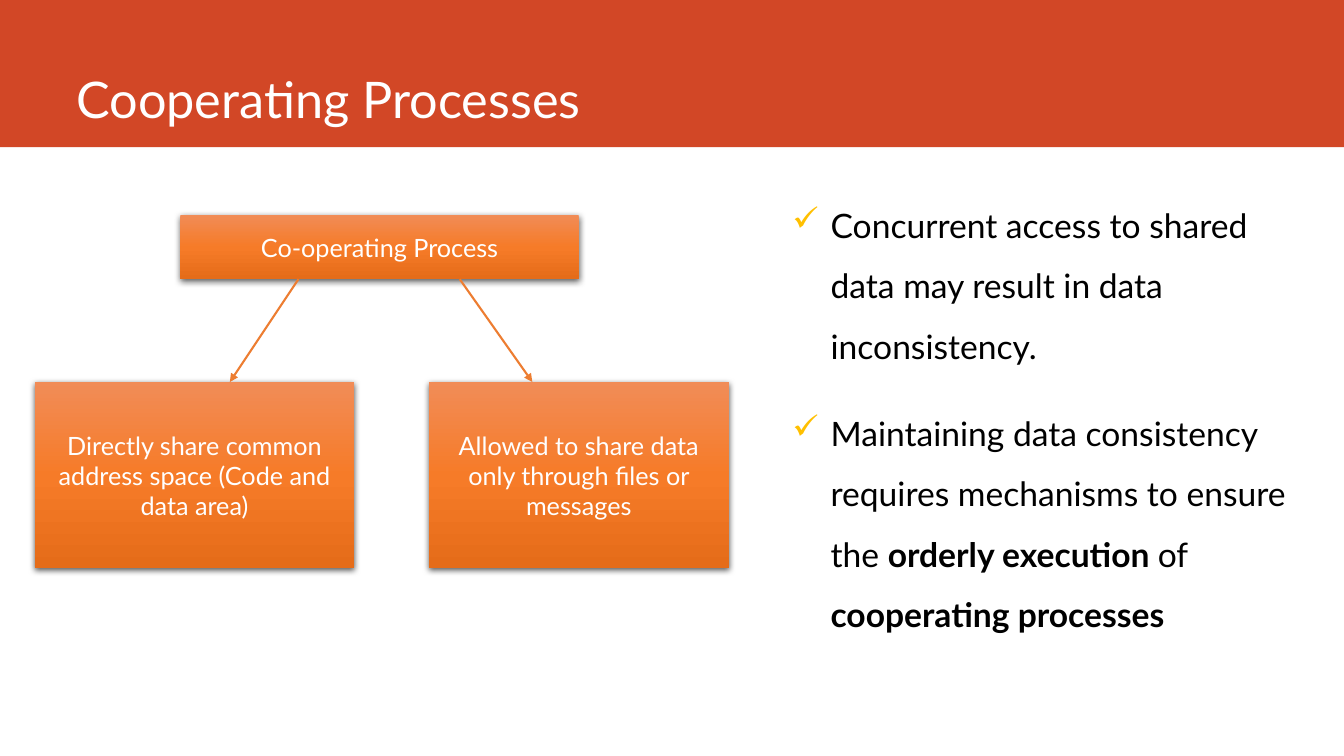
from copy import deepcopy
from dataclasses import dataclass

from lxml.etree import SubElement
from pptx import Presentation
from pptx.dml.color import RGBColor
from pptx.enum.shapes import MSO_CONNECTOR, MSO_SHAPE
from pptx.enum.text import MSO_ANCHOR, PP_ALIGN
from pptx.oxml.ns import qn
from pptx.shapes.autoshape import Shape
from pptx.slide import Slide
from pptx.text.text import Font
from pptx.util import Inches, Pt


@dataclass(frozen=True)
class Theme:
    font: str = "Lato"
    title_size: int = 36
    body_size: int = 24
    box_size: int = 18
    banner: str = "D24726"
    light: str = "FFFFFF"
    dark: str = "000000"
    check: str = "FFC000"
    arrow: str = "ED7D31"
    gradient: tuple[str, ...] = ("F18C57", "F67B28", "E56C19")


@dataclass(frozen=True)
class Area:
    left: float
    top: float
    width: float
    height: float

    def lengths(self) -> tuple[Inches, ...]:
        return tuple(map(Inches, (self.left, self.top, self.width, self.height)))


@dataclass(frozen=True)
class ProcessBox:
    area: Area
    text: str


@dataclass(frozen=True)
class Arrow:
    start_x: float
    end_x: float


@dataclass(frozen=True)
class Span:
    text: str
    bold: bool = False


THEME = Theme()
PARENT_TOP, PARENT_HEIGHT = 2.13, 0.64
CHILD_TOP, CHILD_HEIGHT = 3.79, 1.85
BOXES = (
    ProcessBox(Area(1.79, PARENT_TOP, 3.95, PARENT_HEIGHT), "Co-operating Process"),
    ProcessBox(Area(0.35, CHILD_TOP, 3.16, CHILD_HEIGHT),
               "Directly share common address space (Code and data area)"),
    ProcessBox(Area(4.25, CHILD_TOP, 2.98, CHILD_HEIGHT),
               "Allowed to share data only through files or messages"),
)
ARROWS = (Arrow(2.96, 2.28), Arrow(4.56, 5.28))
POINTS = (
    (Span("Concurrent access to shared data may result in data inconsistency."),),
    (Span("Maintaining data consistency requires mechanisms to ensure the "),
     Span("orderly execution ", bold=True),
     Span("of "),
     Span("cooperating processes", bold=True)),
)


def color(value: str) -> RGBColor:
    return RGBColor.from_string(value)


def style_font(font: Font, size: int, value: str) -> None:
    font.name = THEME.font
    font.size = Pt(size)
    font.color.rgb = color(value)


def add_rectangle(page: Slide, area: Area) -> Shape:
    box = page.shapes.add_shape(MSO_SHAPE.RECTANGLE, *area.lengths())
    box.shadow.inherit = False
    box.line.fill.background()
    return box


def add_banner(page: Slide) -> None:
    banner = add_rectangle(page, Area(0, 0, 13.33, 1.46))
    banner.fill.solid()
    banner.fill.fore_color.rgb = color(THEME.banner)


def add_title(page: Slide, text: str) -> None:
    box = page.shapes.add_textbox(*Area(0.66, 0, 11.76, 1.32).lengths())
    frame = box.text_frame
    frame.word_wrap = True
    frame.vertical_anchor = MSO_ANCHOR.BOTTOM
    frame.text = text
    style_font(frame.paragraphs[0].font, THEME.title_size, THEME.light)


def fill_gradient(box: Shape) -> None:
    """Fill the box from top to bottom with evenly spaced theme colours."""
    box.fill.gradient()
    box.fill.gradient_angle = 270
    stop_list = box._element.spPr.find(qn("a:gradFill")).find(qn("a:gsLst"))
    stop_list.insert(1, deepcopy(stop_list[0]))
    last = len(THEME.gradient) - 1
    for index, (stop, value) in enumerate(zip(box.fill.gradient_stops, THEME.gradient)):
        stop.position = index / last
        stop.color.rgb = color(value)


def add_soft_shadow(box: Shape) -> None:
    effects = box._element.spPr.find(qn("a:effectLst"))
    shadow = SubElement(effects, qn("a:outerShdw"), blurRad=str(Pt(4.5)),
                        dist=str(Pt(1.5)), dir="5400000", algn="ctr", rotWithShape="0")
    tint = SubElement(shadow, qn("a:srgbClr"), val=THEME.dark)
    SubElement(tint, qn("a:alpha"), val="63000")


def add_process_box(page: Slide, process: ProcessBox) -> None:
    box = add_rectangle(page, process.area)
    fill_gradient(box)
    add_soft_shadow(box)
    frame = box.text_frame
    frame.word_wrap = True
    frame.vertical_anchor = MSO_ANCHOR.MIDDLE
    frame.text = process.text
    para = frame.paragraphs[0]
    para.alignment = PP_ALIGN.CENTER
    style_font(para.font, THEME.box_size, THEME.light)


def add_arrow(page: Slide, arrow: Arrow) -> None:
    connector = page.shapes.add_connector(
        MSO_CONNECTOR.STRAIGHT,
        Inches(arrow.start_x), Inches(PARENT_TOP + PARENT_HEIGHT),
        Inches(arrow.end_x), Inches(CHILD_TOP),
    )
    connector.line.color.rgb = color(THEME.arrow)
    connector.line.width = Pt(1.5)
    properties = connector._element.spPr
    SubElement(properties.find(qn("a:ln")), qn("a:tailEnd"), type="triangle")
    SubElement(properties, qn("a:effectLst"))


def add_points(page: Slide) -> None:
    box = page.shapes.add_textbox(*Area(7.76, 1.78, 5.42, 5.25).lengths())
    frame = box.text_frame
    frame.word_wrap = True
    for index, spans in enumerate(POINTS):
        para = frame.add_paragraph() if index else frame.paragraphs[0]
        para.line_spacing = 1.5
        para.space_before = Pt(7)
        para.space_after = Pt(12)
        properties = para._p.get_or_add_pPr()
        indent = Inches(0.38)
        properties.set("marL", str(indent))
        properties.set("indent", str(-indent))
        bullet_color = SubElement(properties, qn("a:buClr"))
        SubElement(bullet_color, qn("a:srgbClr"), val=THEME.check)
        SubElement(properties, qn("a:buChar"), char="✓")
        style_font(para.font, THEME.body_size, THEME.dark)
        for span in spans:
            run = para.add_run()
            run.text = span.text
            run.font.bold = span.bold


def main() -> None:
    deck = Presentation()
    deck.slide_width, deck.slide_height = Inches(13.33), Inches(7.5)
    page = deck.slides.add_slide(deck.slide_layouts[6])
    add_banner(page)
    add_title(page, "Cooperating Processes")
    add_points(page)
    for process in BOXES:
        add_process_box(page, process)
    for arrow in ARROWS:
        add_arrow(page, arrow)
    deck.save("out.pptx")


if __name__ == "__main__":
    main()
